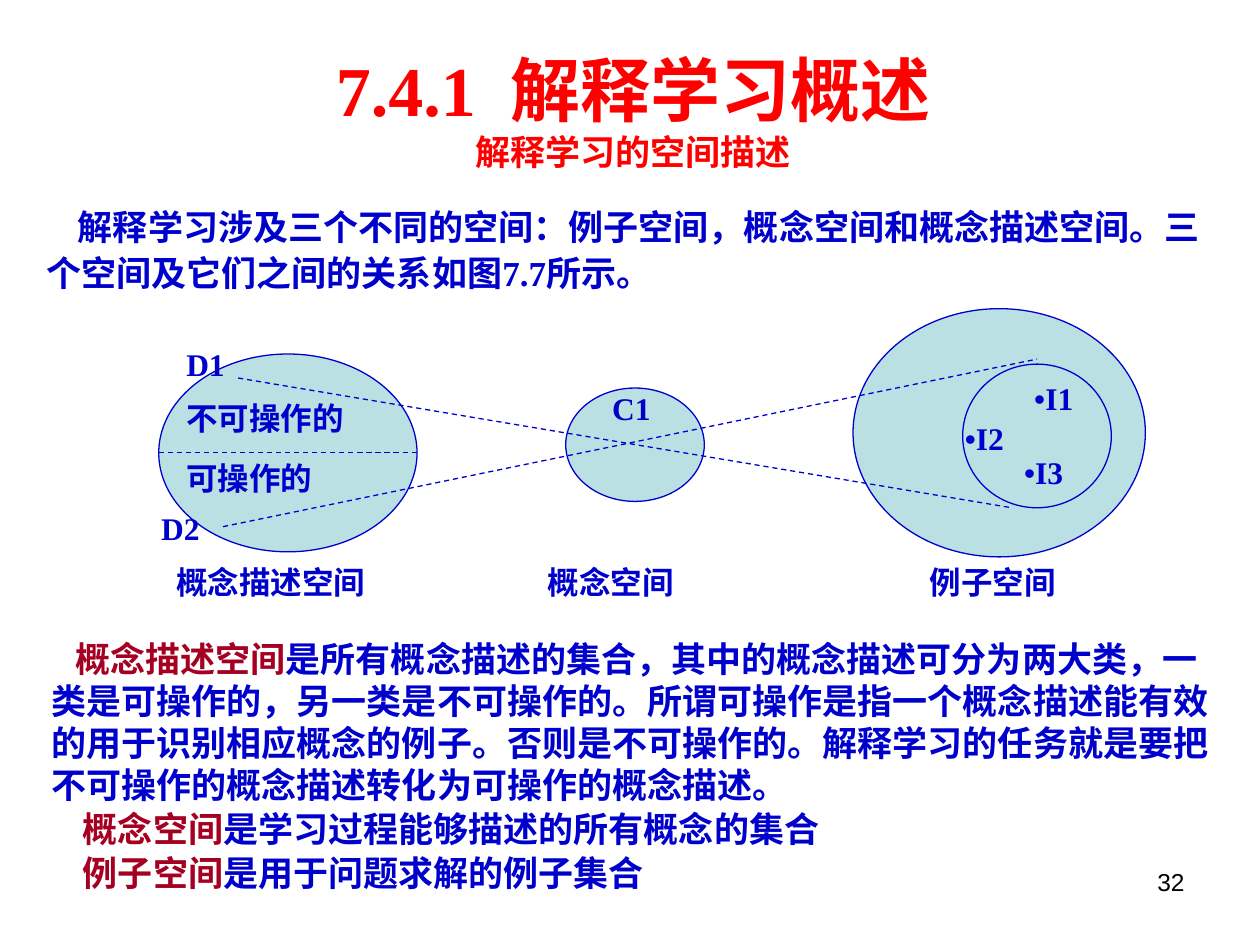
import pptx
import pptx.dml.color
import pptx.enum.dml
import pptx.enum.shapes
import pptx.enum.text
import pptx.oxml.ns
import pptx.util
from lxml import etree

RGB = pptx.dml.color.RGBColor.from_string
ALIGN = pptx.enum.text.PP_ALIGN
THEME = {
    "blue": RGB("0000CC"), "crimson": RGB("A50021"), "red": RGB("FF0000"),
    "black": RGB("000000"), "pale": RGB("BBE0E3"),
    "serif": "Times New Roman", "sans": "Arial",
    "title": 40, "body": 20, "label": 18, "number": 14, "line": 0.75,
}

prs = pptx.Presentation()
prs.slide_width = pptx.util.Inches(10)
prs.slide_height = pptx.util.Inches(7.5)
s = prs.slides.add_slide(prs.slide_layouts[6])
cell = prs.slide_width / 100  # the slide is 100 columns by 75 rows


def cells(*counts):
    return [round(n * cell) for n in counts]


def add_text(shapes, box, paragraphs, size, font="serif", bold=True,
             align=ALIGN.LEFT, indents=(), before=0, spacing=None):
    """Each paragraph is a list of (text, colour) runs; indents are first-line, in cells."""
    tf = shapes.add_textbox(*cells(*box)).text_frame
    tf.word_wrap = True
    for i, runs in enumerate(paragraphs):
        p = tf.paragraphs[0] if i == 0 else tf.add_paragraph()
        p.alignment = align
        if i:
            p.space_before = pptx.util.Pt(before)
        if spacing:
            p.line_spacing = spacing
        if indents:
            p._p.get_or_add_pPr().set("indent", str(cells(indents[i])[0]))
        for text, colour in runs:
            r = p.add_run()
            r.text = text
            r.font.name = THEME[font]
            r.font.size = pptx.util.Pt(THEME[size])
            r.font.bold = bold
            r.font.color.rgb = THEME[colour]
    return tf


# Introduction
add_text(s.shapes, (2.7, 15.5, 94.1, 8.4), [[(
    "解释学习涉及三个不同的空间：例子空间，概念空间和概念描述空间。"
    "三个空间及它们之间的关系如图7.7所示。", "blue")]],
    "body", indents=[2.5], spacing=1.1)

# Diagram of the three spaces
diagram = s.shapes.add_group_shape().shapes
ellipses = [
    (12.6, 28.1, 20.5, 15.7),  # concept descriptions
    (44.9, 30.8, 11, 9),       # concepts
    (67.7, 24.5, 23.2, 19.7),  # examples
    (76.4, 28.9, 11.8, 11.4),  # examples of C1
]
for box in ellipses:
    sp = diagram.add_shape(pptx.enum.shapes.MSO_SHAPE.OVAL, *cells(*box))
    sp.shadow.inherit = False
    sp.fill.solid()
    sp.fill.fore_color.rgb = THEME["pale"]
    sp.line.color.rgb = THEME["blue"]
    sp.line.width = pptx.util.Pt(THEME["line"])

dashed_lines = [
    (12.6, 35.9, 33.1, 35.9),  # operational boundary
    (18.9, 30, 80.3, 40.3),    # from D1
    (17.7, 41.8, 82.3, 28.5),  # from D2
]
for ends in dashed_lines:
    line = diagram.add_connector(pptx.enum.shapes.MSO_CONNECTOR.STRAIGHT, *cells(*ends))
    line.line.color.rgb = THEME["blue"]
    line.line.width = pptx.util.Pt(THEME["line"])
    line.line.dash_style = pptx.enum.dml.MSO_LINE.DASH
    etree.SubElement(line._element.spPr, pptx.oxml.ns.qn("a:effectLst"))

caption_row = 44.2
labels = [
    ("C1", 47.6, 30.4, 5.9),
    ("不可操作的", 13.8, 31.2, 16.1),
    ("可操作的", 13.8, 35.9, 12.6),
    ("D1", 13.8, 26.9, 5.5),
    ("D2", 11.8, 39.9, 5.9),
    ("•I1", 81.1, 29.6, 5.5),
    ("•I2", 75.6, 32.8, 6.3),
    ("•I3", 80.3, 35.5, 6.7),
    ("概念描述空间", 13, caption_row, 17.3),
    ("概念空间", 42.5, caption_row, 12.2),
    ("例子空间", 72.8, caption_row, 13),
]
for text, left, top, width in labels:
    add_text(diagram, (left, top, width, 4), [[(text, "blue")]], "label")

# Definitions
definitions = [
    ("概念描述空间",
     "是所有概念描述的集合，其中的概念描述可分为两大类，一类是可操作的，"
     "另一类是不可操作的。所谓可操作是指一个概念描述能有效的用于识别相应概念的例子。"
     "否则是不可操作的。解释学习的任务就是要把不可操作的概念描述转化为可操作的概念描述。"),
    ("概念空间", "是学习过程能够描述的所有概念的集合"),
    ("例子空间", "是用于问题求解的例子集合"),
]
add_text(s.shapes, (3.1, 50.1, 94.1, 21.4),
         [[(term, "crimson"), (meaning, "blue")] for term, meaning in definitions],
         "body", indents=[1.9, 2.5, 2.5], before=1.2)

# Title, with a widened space after the section number
tf = add_text(s.shapes, (8.7, 3.2, 83.1, 11),
              [[("7.4.1", "red"), (" ", "red"), ("解释学习概述", "red")],
               [("解释学习的空间描述", "red")]], "title", align=ALIGN.CENTER)
tf.paragraphs[0].runs[1].font._element.set("spc", "1000")
tf.paragraphs[1].runs[0].font.size = pptx.util.Pt(THEME["body"])

# Page number
add_text(s.shapes, (71.7, 68.3, 23.3, 5.2), [[("32", "black")]], "number",
         font="sans", bold=False, align=ALIGN.RIGHT)

prs.save("out.pptx")
